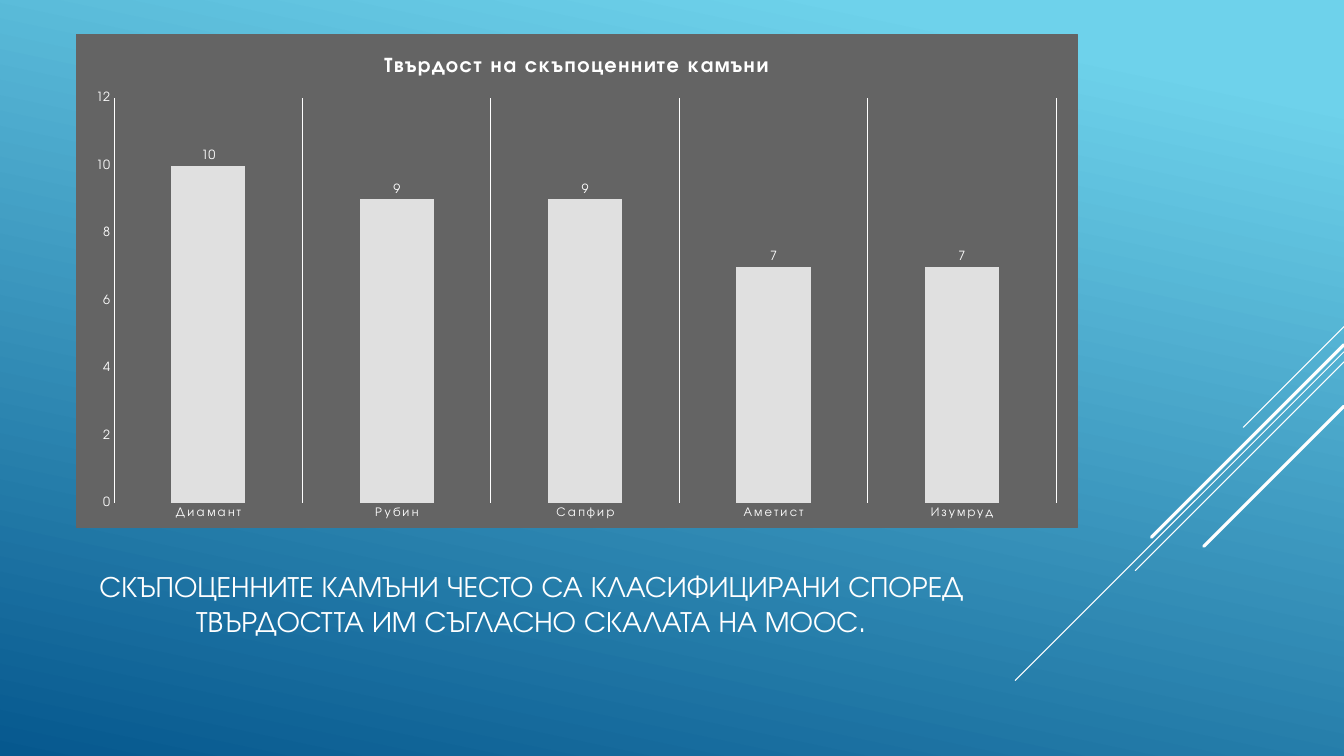
from lxml import etree
from pptx import Presentation
from pptx.chart.data import CategoryChartData
from pptx.dml.color import RGBColor
from pptx.enum.chart import XL_CHART_TYPE, XL_LABEL_POSITION, XL_TICK_MARK
from pptx.enum.shapes import MSO_CONNECTOR
from pptx.enum.text import MSO_ANCHOR, PP_ALIGN
from pptx.oxml import parse_xml
from pptx.oxml.ns import nsdecls, qn
from pptx.util import Inches, Pt

FONT = "TeX Gyre Adventor"
WHITE, PANEL, BAR = "FFFFFF", "646464", "E0E0E0"
BACKGROUND = [(0.1, "6ED2EB"), (1, "06588E")]
WIDTH, HEIGHT = 13.33, 7.5

TITLE = "СКЪПОЦЕННИТЕ КАМЪНИ ЧЕСТО СА КЛАСИФИЦИРАНИ СПОРЕД ТВЪРДОСТТА ИМ СЪГЛАСНО СКАЛАТА НА МООС."
CHART_TITLE = "Твърдост на скъпоценните камъни"
HARDNESS = {"Диамант": 10, "Рубин": 9, "Сапфир": 9, "Аметист": 7, "Изумруд": 7}
PLOT = {"x": 0.038, "y": 0.129, "w": 0.941, "h": 0.821}

# top at the right edge, diagonal run, weight
DIAGONALS = [
    (3.24, 1.0, 0.75),
    (3.49, 3.26, 0.75),
    (3.59, 2.07, 0.75),
    (3.42, 1.91, 2.25),
    (4.03, 1.39, 2.25),
]


def rgb(value):
    return RGBColor.from_string(value)


def style(font, size, bold=False):
    font.name, font.size, font.bold = FONT, Pt(size), bold
    font.color.rgb = rgb(WHITE)


def add_diagonal(s, top, run, weight):
    line = s.shapes.add_connector(
        MSO_CONNECTOR.STRAIGHT,
        Inches(WIDTH), Inches(top), Inches(WIDTH - run), Inches(top + run))
    line.line.color.rgb = rgb(WHITE)
    line.line.width = Pt(weight)
    props = line.element.spPr
    props.find(qn("a:ln")).set("cap", "rnd")
    etree.SubElement(props, qn("a:effectLst"))


def fill_panel(chart):
    fill = f'<a:solidFill><a:srgbClr val="{PANEL}"/></a:solidFill>'
    chart.element.find(qn("c:chart")).addnext(parse_xml(
        f'<c:spPr {nsdecls("c", "a")}>{fill}<a:ln w="9525">{fill}</a:ln></c:spPr>'))


def place_plot(chart):
    area = chart.element.find(qn("c:chart")).find(qn("c:plotArea"))
    for old in area.findall(qn("c:layout")):
        area.remove(old)
    modes = '<c:xMode val="edge"/><c:yMode val="edge"/>'
    sizes = "".join(f'<c:{k} val="{v}"/>' for k, v in PLOT.items())
    area.insert(0, parse_xml(
        f'<c:layout {nsdecls("c")}><c:manualLayout><c:layoutTarget val="inner"/>'
        f'{modes}{sizes}</c:manualLayout></c:layout>'))


def add_hardness_chart(s):
    data = CategoryChartData()
    data.categories = list(HARDNESS)
    data.add_series("Series 1", list(HARDNESS.values()))
    chart = s.shapes.add_chart(
        XL_CHART_TYPE.COLUMN_CLUSTERED,
        Inches(0.75), Inches(0.34), Inches(9.94), Inches(4.9), data).chart
    style(chart.font, 10)
    chart.has_legend = False
    chart.has_title = True
    p = chart.chart_title.text_frame.paragraphs[0]
    r = p.add_run()
    r.text = CHART_TITLE
    style(r.font, 15, bold=True)
    r.font._element.set("spc", "100")

    category, value = chart.category_axis, chart.value_axis
    for axis in (category, value):
        axis.major_tick_mark = axis.minor_tick_mark = XL_TICK_MARK.NONE
        axis.format.line.fill.background()
        style(axis.tick_labels.font, 9)
    category.tick_labels.font._element.set("spc", "150")
    category.has_major_gridlines = True
    grid = category.major_gridlines.format.line
    grid.color.rgb = rgb(WHITE)
    grid.width = Pt(0.75)
    value.has_major_gridlines = False
    value.minimum_scale, value.maximum_scale, value.major_unit = 0, 12, 2

    plot = chart.plots[0]
    plot.gap_width = 154
    plot.vary_by_categories = False
    series = plot.series[0]
    series.format.fill.solid()
    series.format.fill.fore_color.rgb = rgb(BAR)
    labels = series.data_labels
    labels.show_value = True
    labels.position = XL_LABEL_POSITION.OUTSIDE_END
    style(labels.font, 9)
    fill_panel(chart)
    place_plot(chart)


prs = Presentation()
prs.slide_width, prs.slide_height = Inches(WIDTH), Inches(HEIGHT)
s = prs.slides.add_slide(prs.slide_layouts[5])

fill = s.background.fill
fill.gradient()
fill.gradient_angle = 360 - 102
for stop, (position, color) in zip(fill.gradient_stops, BACKGROUND):
    stop.position = position
    stop.color.rgb = rgb(color)

for diagonal in DIAGONALS:
    add_diagonal(s, *diagonal)

title = s.shapes.title
title.left, title.top = Inches(0.75), Inches(5.41)
title.width, title.height = Inches(9.04), Inches(1.15)
tf = title.text_frame
tf.text = TITLE
tf.word_wrap = True
tf.vertical_anchor = MSO_ANCHOR.MIDDLE
p = tf.paragraphs[0]
p.alignment = PP_ALIGN.CENTER
style(p.font, 21)

add_hardness_chart(s)
prs.save("out.pptx")
